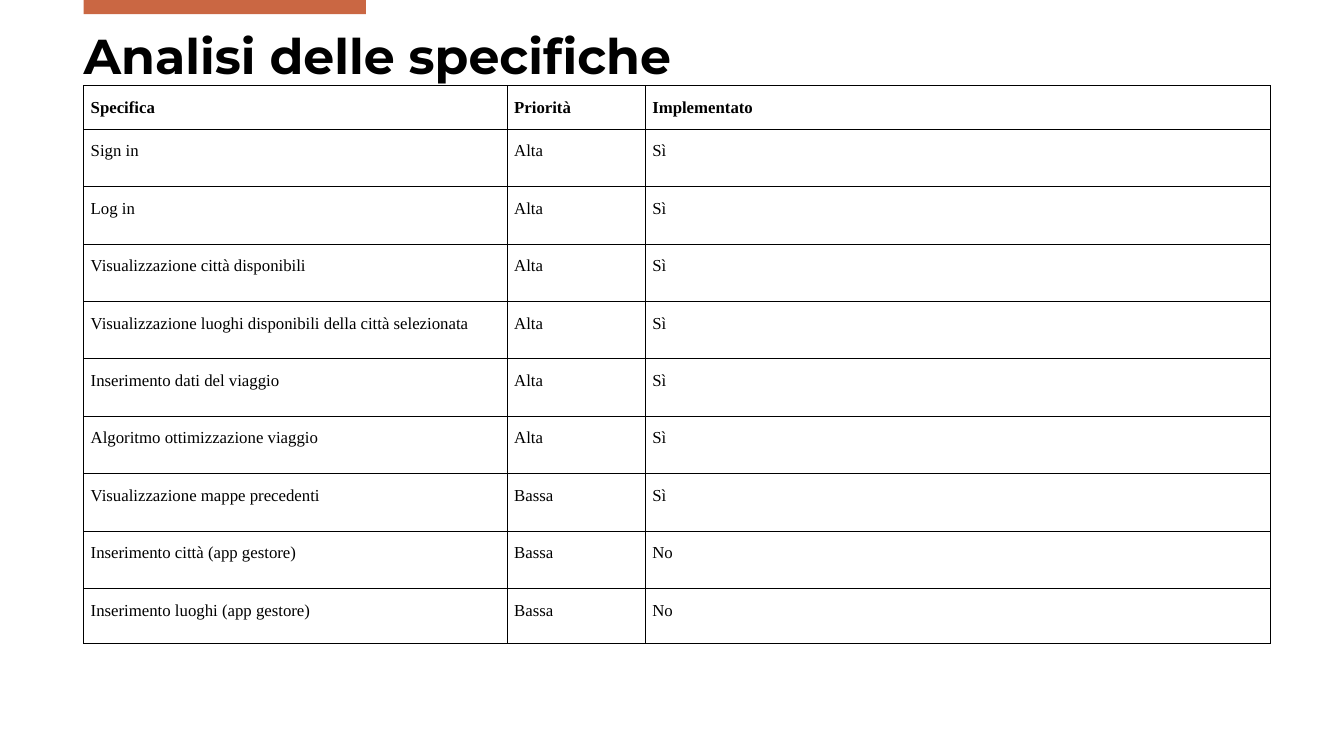
from lxml import etree
from pptx import Presentation, util as u
from pptx.dml.color import RGBColor
from pptx.enum import shapes, text
from pptx.oxml.ns import qn

COLORS = {"accent": "CA6743", "ink": "000000", "paper": "FFFFFF"}
HEADER = ("Specifica", "Priorità", "Implementato")
SPECS = [
    ("Sign in", "Alta", "Sì"),
    ("Log in", "Alta", "Sì"),
    ("Visualizzazione città disponibili", "Alta", "Sì"),
    ("Visualizzazione luoghi disponibili della città selezionata", "Alta", "Sì"),
    ("Inserimento dati del viaggio", "Alta", "Sì"),
    ("Algoritmo ottimizzazione viaggio", "Alta", "Sì"),
    ("Visualizzazione mappe precedenti", "Bassa", "Sì"),
    ("Inserimento città (app gestore)", "Bassa", "No"),
    ("Inserimento luoghi (app gestore)", "Bassa", "No"),
]
COL_WIDTHS = (4.2, 1.37, 6.2)
ROW_HEIGHTS = [0.43] + [0.57] * (len(SPECS) - 1) + [0.54]


class SlideBuilder:
    """Holds the slide style and draws each kind of element."""

    title_font = {"name": "Montserrat", "size": u.Pt(35), "bold": True}
    cell_font = {"name": "Times New Roman", "size": u.Pt(12)}
    cell_par = {"alignment": text.PP_ALIGN.JUSTIFY, "line_spacing": 1.15,
                "space_before": u.Pt(12)}
    cell_box = {"margin_left": u.Inches(0.07), "margin_right": u.Inches(0.07),
                "margin_top": u.Inches(0.1), "margin_bottom": u.Inches(0.1),
                "vertical_anchor": text.MSO_ANCHOR.TOP}
    title_box = {"margin_left": 0, "margin_right": 0, "margin_top": 0,
                 "margin_bottom": 0, "word_wrap": True}

    def __init__(self, slide):
        self.s = slide
        self.paint(slide.background.fill, "paper")

    def paint(self, fill, color):
        fill.solid()
        fill.fore_color.rgb = RGBColor.from_string(COLORS[color])

    def apply(self, target, values):
        for name, value in values.items():
            setattr(target, name, value)

    def add_text(self, p, words, font):
        r = p.add_run()
        r.text = words
        self.apply(r.font, font)
        r.font.color.rgb = RGBColor.from_string(COLORS["ink"])

    def bar(self, *box):
        sp = self.s.shapes.add_shape(shapes.MSO_SHAPE.RECTANGLE, *map(u.Inches, box))
        sp.shadow.inherit = False
        sp.line.fill.background()
        self.paint(sp.fill, "accent")

    def title(self, words, *box):
        tf = self.s.shapes.add_textbox(*map(u.Inches, box)).text_frame
        self.apply(tf, self.title_box)
        self.add_text(tf.paragraphs[0], words, self.title_font)

    def borders(self, cell):
        tc_pr = cell._tc.get_or_add_tcPr()
        for i, side in enumerate(("lnL", "lnR", "lnT", "lnB")):
            ln = etree.Element(qn(f"a:{side}"), w=str(u.Pt(0.6)))
            fill = etree.SubElement(ln, qn("a:solidFill"))
            etree.SubElement(fill, qn("a:srgbClr"), val=COLORS["ink"])
            tc_pr.insert(i, ln)

    def table(self, rows, left, top):
        box = (left, top, sum(COL_WIDTHS), sum(ROW_HEIGHTS))
        tbl = self.s.shapes.add_table(len(rows), len(COL_WIDTHS), *map(u.Inches, box)).table
        self.apply(tbl, {"first_row": False, "horz_banding": False})
        for col, width in zip(tbl.columns, COL_WIDTHS):
            col.width = u.Inches(width)
        for i, (row, height) in enumerate(zip(tbl.rows, ROW_HEIGHTS)):
            row.height = u.Inches(height)
            for cell, words in zip(row.cells, rows[i]):
                self.apply(cell, self.cell_box)
                cell.fill.background()
                self.borders(cell)
                p = cell.text_frame.paragraphs[0]
                self.apply(p, self.cell_par)
                self.add_text(p, words, {**self.cell_font, "bold": i == 0})


def main():
    prs = Presentation()
    prs.slide_width, prs.slide_height = u.Inches(13.33), u.Inches(7.5)
    slide = SlideBuilder(prs.slides.add_slide(prs.slide_layouts[6]))
    slide.bar(0.83, 0, 2.8, 0.14)
    slide.title("Analisi delle specifiche", 0.83, 0.25, 12.15, 0.59)
    slide.table([HEADER] + SPECS, 0.83, 0.85)
    prs.save("out.pptx")


if __name__ == "__main__":
    main()
